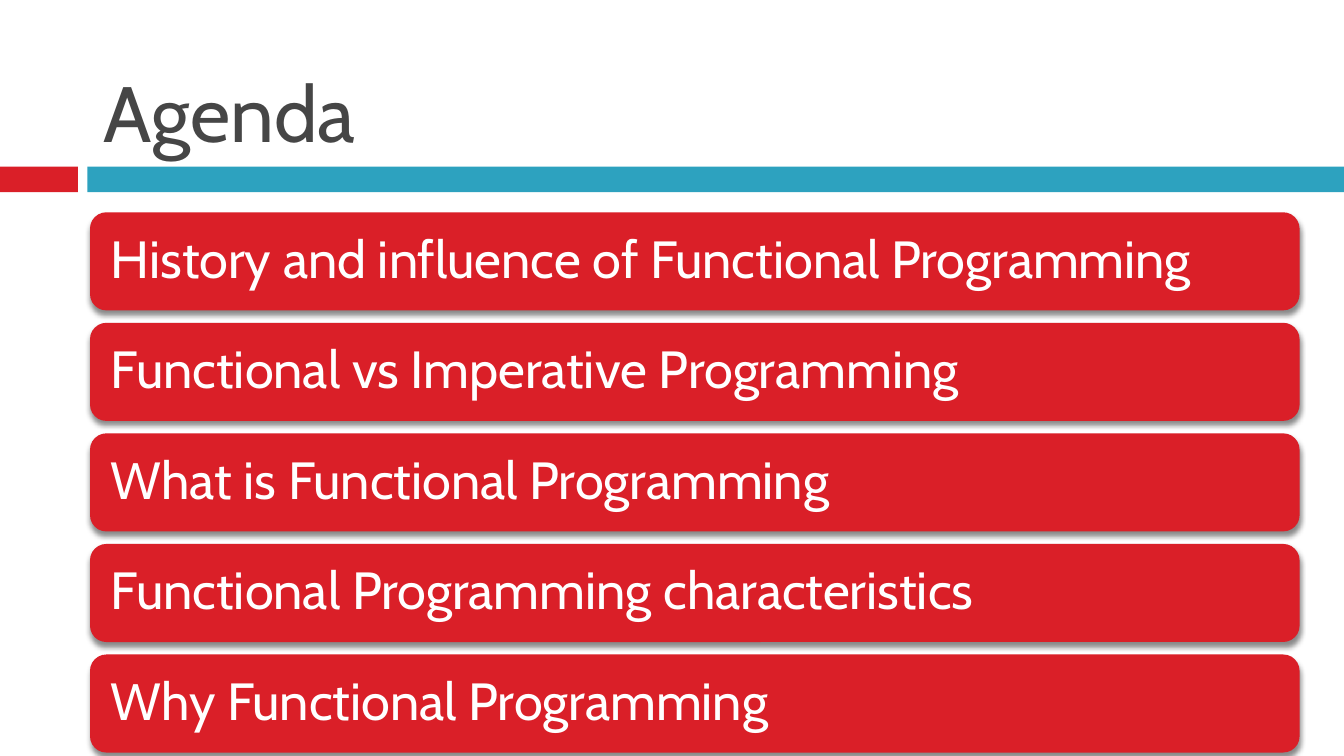
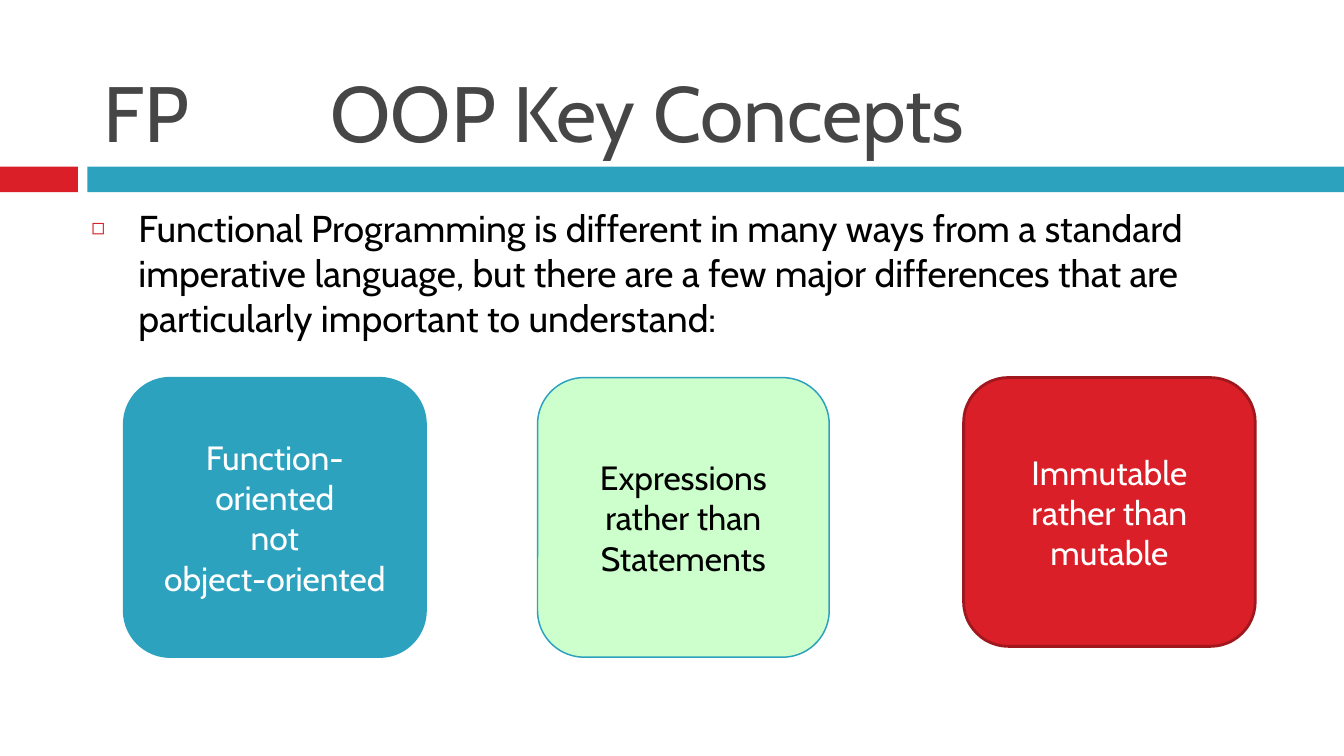
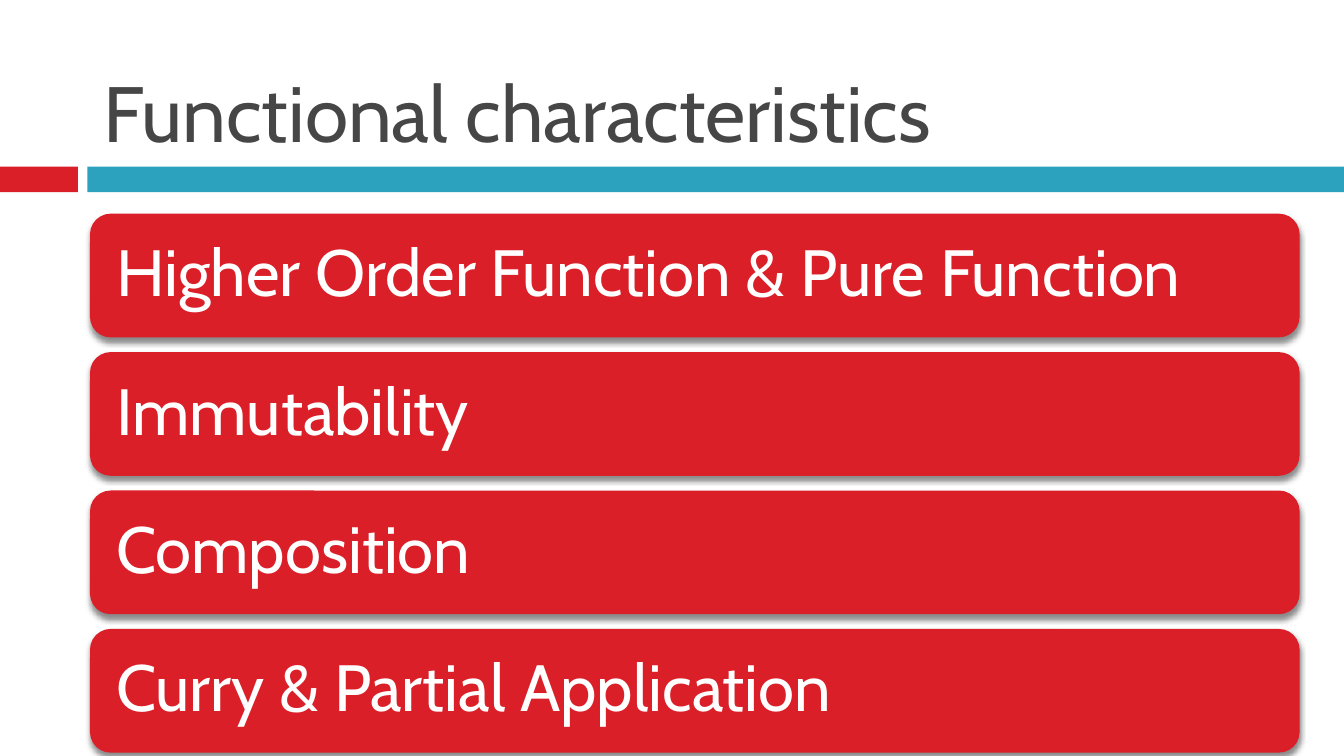
from dataclasses import dataclass

from lxml import etree
from pptx import Presentation
from pptx.dml.color import RGBColor
from pptx.enum.shapes import MSO_SHAPE
from pptx.enum.text import MSO_ANCHOR, MSO_AUTO_SIZE, PP_ALIGN
from pptx.oxml.ns import qn
from pptx.util import Inches, Pt

RECT, ROUNDED = MSO_SHAPE.RECTANGLE, MSO_SHAPE.ROUNDED_RECTANGLE
TOP, MIDDLE, BOTTOM = MSO_ANCHOR.TOP, MSO_ANCHOR.MIDDLE, MSO_ANCHOR.BOTTOM
LEFT, CENTER = PP_ALIGN.LEFT, PP_ALIGN.CENTER
NO_AUTOFIT = MSO_AUTO_SIZE.NONE
TITLE_AND_CONTENT, TITLE_ONLY = 1, 5


@dataclass(frozen=True)
class Theme:
    """Colours, font and type sizes of the deck."""
    font: str = "Cabin"
    red: str = "DA1F28"
    dark_red: str = "A1171E"
    teal: str = "2DA2BF"
    mint: str = "CCFFCC"
    grey: str = "464646"
    black: str = "000000"
    white: str = "FFFFFF"
    title_size: int = 42
    agenda_size: int = 28
    feature_size: int = 35
    body_size: int = 20
    card_size: int = 18


THEME = Theme()
ROWS_BOTTOM = 5.6


def add_run(paragraph, text, size, color):
    """Append one formatted run to a paragraph."""
    run = paragraph.add_run()
    run.text = text
    run.font.name = THEME.font
    run.font.size = Pt(size)
    run.font.color.rgb = RGBColor.from_string(color)


def add_block(slide, kind, box, fill, line=None, line_width=0.79):
    """Draw a filled preset shape without a shadow."""
    block = slide.shapes.add_shape(kind, *map(Inches, box))
    block.shadow.inherit = False
    block.fill.solid()
    block.fill.fore_color.rgb = RGBColor.from_string(fill)
    if line:
        block.line.color.rgb = RGBColor.from_string(line)
        block.line.width = Pt(line_width)
    else:
        block.line.fill.background()
    return block


def add_shadow(block):
    """Give a block a soft shadow straight below it."""
    effects = block.element.spPr.find(qn("a:effectLst"))
    shadow = etree.SubElement(
        effects, qn("a:outerShdw"), blurRad=str(Pt(3)), dist=str(Pt(2.4)),
        dir="5400000", algn="ctr", rotWithShape="0")
    tint = etree.SubElement(shadow, qn("a:srgbClr"), val=THEME.black)
    etree.SubElement(tint, qn("a:alpha"), val="45000")


def add_bands(presentation, slide):
    """Draw the two title bands and move them to the slide master."""
    for box, color in (((0, 1.24, 0.58, 0.19), THEME.red),
                       ((0.65, 1.24, 9.35, 0.19), THEME.teal)):
        band = add_block(slide, RECT, box, color)
        presentation.slide_master.shapes.element.append(band.element)


def place_placeholder(placeholder, box, anchor):
    """Move a placeholder and return its left-aligned first paragraph."""
    (placeholder.left, placeholder.top,
     placeholder.width, placeholder.height) = map(Inches, box)
    frame = placeholder.text_frame
    frame.auto_size = NO_AUTOFIT
    frame.word_wrap = True
    frame.vertical_anchor = anchor
    paragraph = frame.paragraphs[0]
    paragraph.alignment = LEFT
    paragraph.space_before = Pt(0)
    return paragraph


def add_titled_slide(presentation, layout, title, tab=None):
    """Add a slide with its title, with an optional tab stop in inches."""
    slide = presentation.slides.add_slide(presentation.slide_layouts[layout])
    heading = place_placeholder(slide.shapes.title, (0.67, 0.13, 8.92, 1.1), BOTTOM)
    if tab:
        stops = etree.SubElement(heading._p.get_or_add_pPr(), qn("a:tabLst"))
        etree.SubElement(stops, qn("a:tab"), pos=str(Inches(tab)), algn="l")
    add_run(heading, title, THEME.title_size, THEME.grey)
    return slide


def add_bullet(slide, text):
    """Fill the body placeholder with one square-bulleted paragraph."""
    paragraph = place_placeholder(slide.placeholders[1], (0.58, 1.48, 8.67, 3.42), TOP)
    properties = paragraph._p.get_or_add_pPr()
    properties.set("marL", str(Inches(0.35)))
    properties.set("indent", str(-Inches(0.35)))
    bullet_color = etree.SubElement(properties, qn("a:buClr"))
    etree.SubElement(bullet_color, qn("a:srgbClr"), val=THEME.red)
    etree.SubElement(properties, qn("a:buSzPct"), val="60000")
    etree.SubElement(properties, qn("a:buChar"), char="◻")
    add_run(paragraph, text, THEME.body_size, THEME.black)


def add_rows(slide, topics, top, height, inset, size):
    """Stack one bar per topic at equal gaps down to the common bottom."""
    pitch = (ROWS_BOTTOM - top - height) / (len(topics) - 1)
    for index, topic in enumerate(topics):
        row = add_block(slide, ROUNDED, (0.67, top + index * pitch, 9, height), THEME.red)
        add_shadow(row)
        frame = row.text_frame
        frame.word_wrap = True
        frame.vertical_anchor = MIDDLE
        frame.margin_left = frame.margin_right = Inches(inset)
        frame.margin_top = frame.margin_bottom = Inches(inset)
        paragraph = frame.paragraphs[0]
        paragraph.alignment = LEFT
        paragraph.line_spacing = 0.9
        add_run(paragraph, topic, size, THEME.white)


def add_card(slide, box, lines, fill, text_color, line, line_width=0.79):
    """Draw a rounded card with centred lines of text."""
    card = add_block(slide, ROUNDED, box, fill, line, line_width)
    frame = card.text_frame
    frame.word_wrap = True
    frame.vertical_anchor = MIDDLE
    for index, text in enumerate(lines):
        paragraph = frame.add_paragraph() if index else frame.paragraphs[0]
        paragraph.alignment = CENTER
        add_run(paragraph, text, THEME.card_size, text_color)


def main():
    """Build and save the deck."""
    presentation = Presentation()
    presentation.slide_width = Inches(10)
    presentation.slide_height = Inches(10) * 9 // 16

    agenda = add_titled_slide(presentation, TITLE_ONLY, "Agenda")
    add_bands(presentation, agenda)
    add_rows(agenda, [
        "History and influence of Functional Programming",
        "Functional vs Imperative Programming",
        "What is Functional Programming",
        "Functional Programming characteristics",
        "Why Functional Programming",
    ], 1.58, 0.73, 0.12, THEME.agenda_size)

    concepts = add_titled_slide(
        presentation, TITLE_AND_CONTENT, "FP\tOOP Key Concepts", tab=1.69)
    add_bullet(concepts, (
        "Functional Programming is different in many ways from a standard "
        "imperative language, but there are a few major differences that are "
        "particularly important to understand:"))
    add_card(concepts, (0.92, 2.81, 2.25, 2.08),
             ["Function-oriented", "not", "object-oriented"],
             THEME.teal, THEME.white, THEME.teal)
    add_card(concepts, (4, 2.81, 2.17, 2.08),
             ["Expressions rather than Statements"],
             THEME.mint, THEME.black, THEME.teal)
    add_card(concepts, (7.17, 2.81, 2.17, 2),
             ["Immutable rather than mutable"],
             THEME.red, THEME.white, THEME.dark_red, 1.5)

    features = add_titled_slide(presentation, TITLE_ONLY, "Functional characteristics")
    add_rows(features, [
        "Higher Order Function & Pure Function",
        "Immutability",
        "Composition",
        "Curry & Partial Application",
    ], 1.59, 0.92, 0.15, THEME.feature_size)

    presentation.save("out.pptx")


if __name__ == "__main__":
    main()
